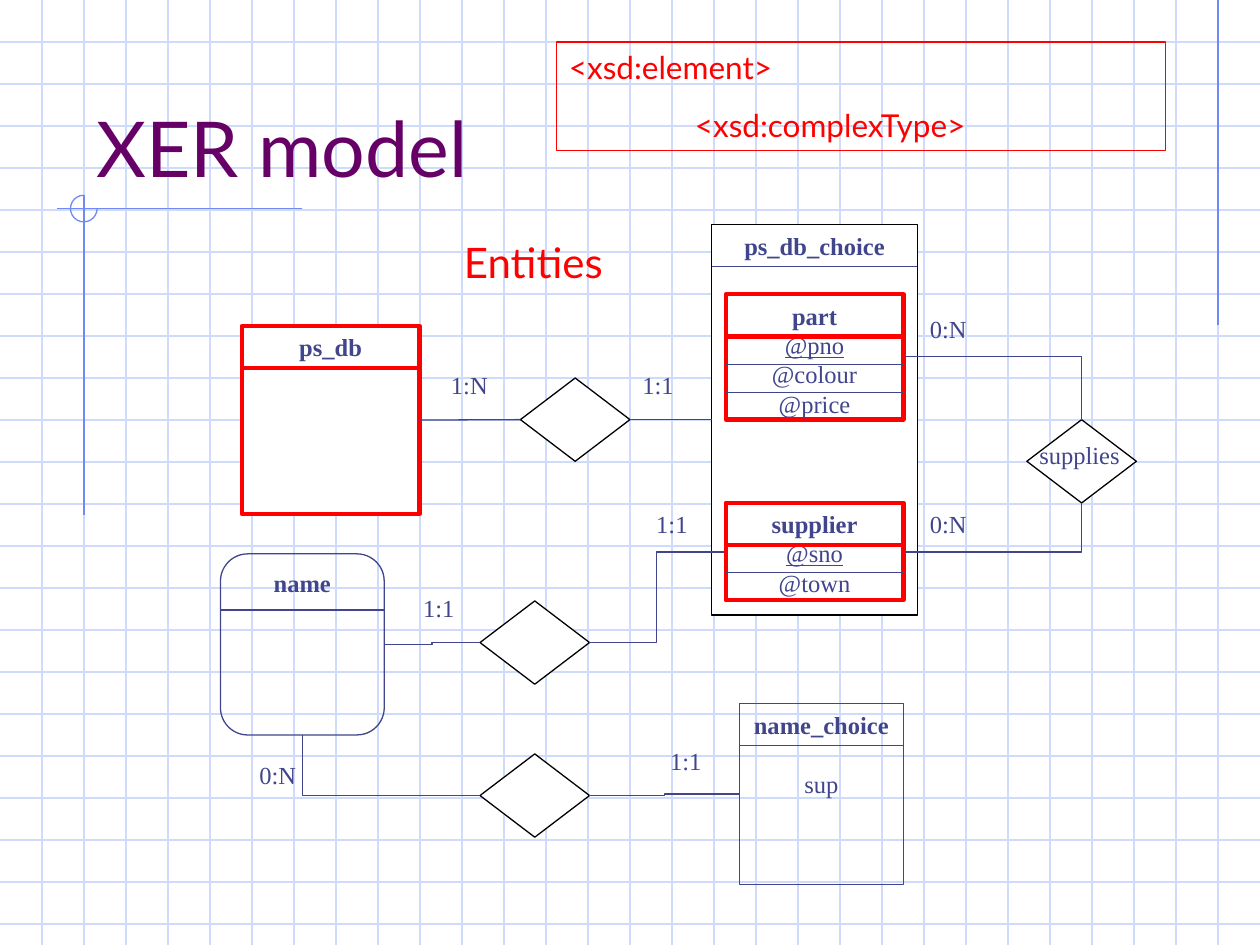
from dataclasses import dataclass

from lxml import etree
from pptx import Presentation, util as u
from pptx.dml.color import RGBColor
from pptx.enum import shapes, text
from pptx.oxml.ns import qn


@dataclass(frozen=True)
class Theme:
    grid: str = "CFDBFD"
    accent: str = "6F89F7"
    title: str = "660066"
    ink: str = "40458C"
    red: str = "FF0000"
    black: str = "000000"
    white: str = "FFFFFF"
    sans: str = "Lato"
    serif: str = "Times New Roman"
    title_size: int = 44
    heading_size: int = 24
    note_size: int = 18
    body_size: int = 14
    thin: float = 0.75
    thick: float = 2.5


class Deck:
    """Holds the theme and the current slide, and draws each kind of element."""

    def __init__(self, theme):
        self.t = theme
        self.prs = Presentation()
        self.prs.slide_width, self.prs.slide_height = u.Pt(720), u.Pt(540)
        self.s = self.prs.slides.add_slide(self.prs.slide_layouts[6])

    def set_text(self, sp, lines, color=None, font=None, size=None, align="LEFT", anchor="TOP"):
        t, tf = self.t, sp.text_frame
        frame = dict(word_wrap=True, vertical_anchor=getattr(text.MSO_ANCHOR, anchor),
                     margin_left=u.Pt(7.2), margin_right=u.Pt(7.2),
                     margin_top=u.Pt(3.6), margin_bottom=u.Pt(3.6))
        for name, value in frame.items():
            setattr(tf, name, value)
        for i, (words, fmt) in enumerate(lines):
            p = tf.add_paragraph() if i else tf.paragraphs[0]
            fmt = dict(name=font or t.serif, size=u.Pt(size or t.body_size), **fmt)
            before, indent = fmt.pop("before", 0), fmt.pop("indent", 0)
            p.alignment = getattr(text.PP_ALIGN, align)
            p.space_before = u.Pt(before)
            if indent:
                p._p.get_or_add_pPr().set("marL", str(u.Pt(indent)))
            r = p.add_run()
            r.text = words
            for name, value in fmt.items():
                setattr(r.font, name, value)
            r.font.color.rgb = RGBColor.from_string(color or t.ink)

    def label(self, words, x, y, w=46.8, h=24.5, **style):
        sp = self.s.shapes.add_textbox(*map(u.Pt, (x, y, w, h)))
        self.set_text(sp, [(words, {})], **style)
        return sp

    def shape(self, kind, x, y, w, h, line, width=None, fill=None):
        kind = getattr(shapes.MSO_SHAPE, kind)
        sp = self.s.shapes.add_shape(kind, *map(u.Pt, (x, y, w, h)))
        sp.shadow.inherit = False
        if fill:
            sp.fill.solid()
            sp.fill.fore_color.rgb = RGBColor.from_string(fill)
        else:
            sp.fill.background()
        sp.line.color.rgb = RGBColor.from_string(line)
        sp.line.width = u.Pt(width or self.t.thin)
        return sp

    def diamond(self, x, y):
        return self.shape("DIAMOND", x, y, 62.6, 47.6, self.t.black, fill=self.t.white)

    def line(self, x1, y1, x2, y2, color=None, width=None, bends=0):
        kind = shapes.MSO_CONNECTOR.ELBOW if bends else shapes.MSO_CONNECTOR.STRAIGHT
        c = self.s.shapes.add_connector(kind, *map(u.Pt, (x1, y1, x2, y2)))
        if bends == 1:
            c._element.spPr.find(qn("a:prstGeom")).set("prst", "bentConnector2")
        c.line.color.rgb = RGBColor.from_string(color or self.t.ink)
        c.line.width = u.Pt(width or self.t.thin)
        etree.SubElement(c._element.spPr, qn("a:effectLst"))
        return c

    def join(self, left, right):
        c = self.line(0, 0, 1, 1)
        c.begin_connect(left, 3)
        c.end_connect(right, 1)

    def entity(self, lines, x, y, w, h, color, kind="RECTANGLE", fill=None,
               header=24, rules=0, strong=False):
        t = self.t
        width = t.thick if strong else t.thin
        sp = self.shape(kind, x, y, w, h, color, width, fill)
        self.set_text(sp, lines, align="CENTER")
        self.line(x, y + header, x + w, y + header, color if strong else t.ink, width)
        for i in range(1, rules + 1):
            self.line(x, y + header + 16 * i, x + w, y + header + 16 * i)
        return sp

    def background(self):
        t = self.t
        for y in range(24, 540, 24):
            self.line(0, y, 720, y, t.grid)
        for x in range(24, 720, 24):
            self.line(x, 0, x, 540, t.grid)
        for ends in ((696, 0, 696, 186), (172.8, 119.3, 32.6, 119.3), (48, 111.6, 48, 294.5)):
            self.line(*ends, t.accent)
        arc = self.shape("ARC", 40.3, 111.6, 15.2, 15.2, t.accent)
        arc.adjustments[0], arc.adjustments[1] = 0, 162


def main():
    t = Theme()
    d = Deck(t)
    d.background()
    d.label("XER model", 48, 24, 612, 90, color=t.title, font=t.sans,
            size=t.title_size, anchor="BOTTOM")

    bold, key = dict(bold=True), dict(underline=True)
    framed = dict(color=t.red, fill=t.white, strong=True)
    choice = d.entity([("ps_db_choice", bold)], 406.8, 128.2, 117.4, 223.2,
                      t.black, fill=t.white)
    d.entity([("supplier", bold), ("@sno", key), ("@town", {})],
             414.7, 287.3, 101.5, 55.7, rules=1, **framed)
    d.entity([("part", bold), ("@pno", key), ("@colour", {}), ("@price", {})],
             414.7, 168.2, 101.5, 71.5, rules=2, **framed)
    ps_db = d.entity([("ps_db", bold)], 138.2, 186.3, 101.5, 107.5, **framed)
    d.entity([("name", bold)], 126, 316.5, 93.6, 103.5, t.ink,
             kind="ROUNDED_RECTANGLE", header=32)
    d.entity([("name_choice", bold), ("sup", dict(before=17))],
             422.6, 402, 93.6, 103.5, t.ink)

    contains = d.diamond(297.4, 216)
    for x, y in ((586.8, 239.8), (274.3, 343.4), (274.3, 430.8)):
        d.diamond(x, y)
    d.label("supplies", 586.8, 247.7, 62.6)
    d.join(ps_db, contains)
    d.join(contains, choice)

    for ends, bends in (((517.7, 203.8, 618, 239.8), 1),
                        ((517.7, 315.4, 618, 287.4), 1),
                        ((274.3, 454.7, 172.8, 420), 1),
                        ((336.6, 367.2, 413.6, 315.4), 2),
                        ((219.6, 368.3, 274.3, 367.2), 2),
                        ((336.6, 454.7, 422.6, 453.7), 2)):
        d.line(*ends, bends=bends)

    for words, x, y in (("0:N", 524.2, 175.7), ("0:N", 524.2, 287.3),
                        ("1:N", 250.6, 208.1), ("1:1", 360, 208.1),
                        ("1:1", 234.7, 335.5), ("1:1", 367.9, 287.3),
                        ("0:N", 141.1, 430.6), ("1:1", 375.8, 422.6)):
        d.label(words, x, y)

    d.label("Entities", 258, 131.8, 113.8, 36, color=t.red, font=t.sans, size=t.heading_size)
    note = d.shape("RECTANGLE", 318, 24, 348, 62, t.red)
    d.set_text(note, [("<xsd:element>", {}), ("<xsd:complexType>", dict(before=11.2, indent=72))],
               color=t.red, font=t.sans, size=t.note_size)
    d.prs.save("out.pptx")


if __name__ == "__main__":
    main()
